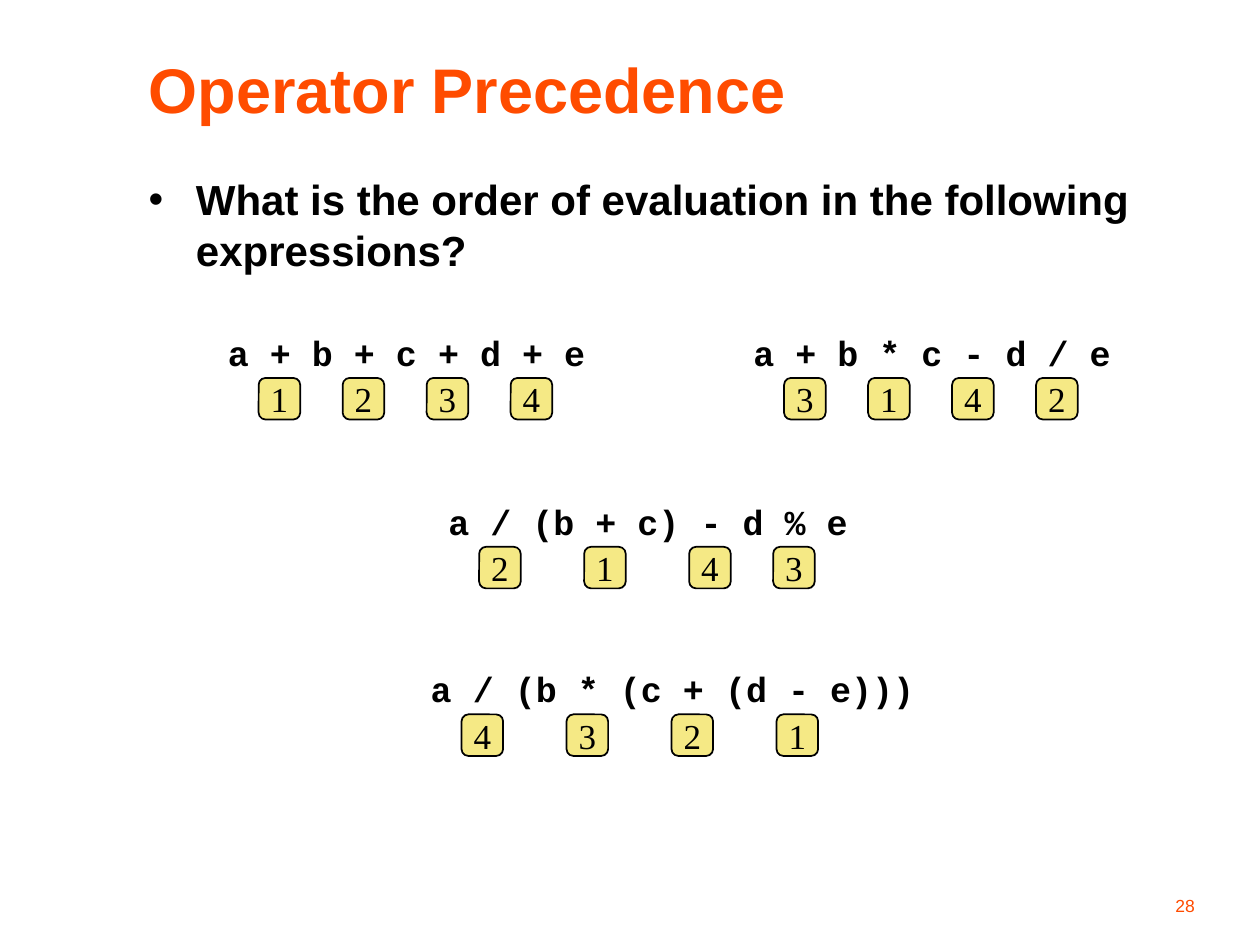
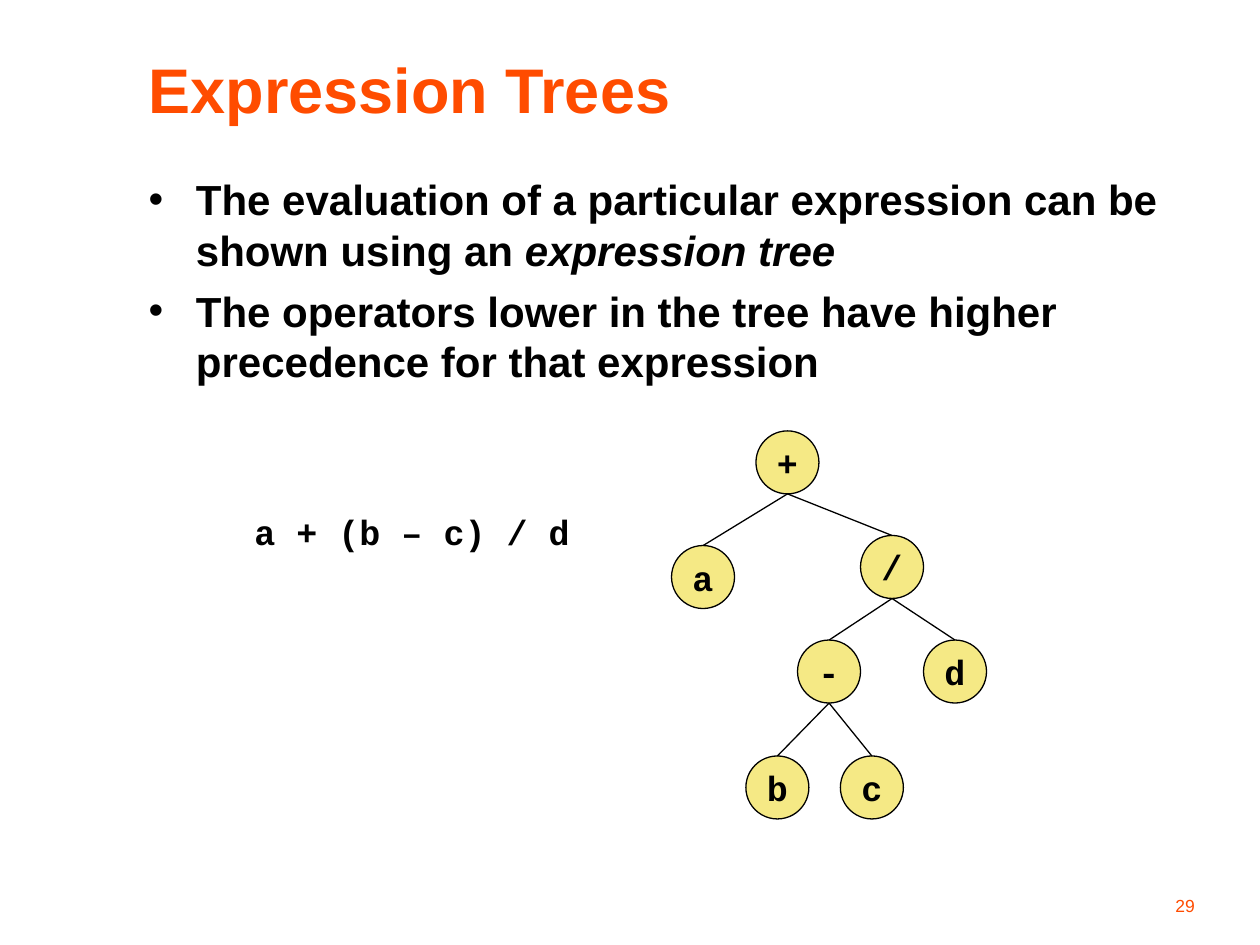
"""Build two slides on operator precedence and expression trees."""
from dataclasses import dataclass

from lxml.etree import SubElement
from pptx import Presentation
from pptx.dml.color import RGBColor
from pptx.enum.shapes import MSO_CONNECTOR, MSO_SHAPE
from pptx.enum.text import MSO_ANCHOR, MSO_AUTO_SIZE, PP_ALIGN
from pptx.oxml.ns import qn
from pptx.util import Inches, Pt

PRECEDENCE = {
    "title": "Operator Precedence",
    "bullets": [[("What is the order of evaluation in the following expressions?", False)]],
    "body_height": 1.04,
    "number": "28",
}
TREES = {
    "title": "Expression Trees",
    "bullets": [
        [("The evaluation of a particular expression can be shown using an ", False),
         ("expression tree", True)],
        [("The operators lower in the tree have higher precedence for that expression", False)],
    ],
    "body_height": 2,
    "number": "29",
}
RANKED_EXPRESSIONS = [
    ("a + b + c + d + e", "1234", 1.71, 2.58),
    ("a + b * c - d / e", "3142", 5.88, 2.58),
    ("a / (b + c) - d % e", "2143", 3.46, 3.92),
    ("a / (b * (c + (d - e)))", "4321", 3.32, 5.25),
]
TREE_EXPRESSION = ("a + (b – c) / d", 1.92, 4)
TREE_NODES = [
    ("+", None, 6, 3.42),
    ("a", "+", 5.33, 4.33),
    ("/", "+", 6.83, 4.25),
    ("-", "/", 6.33, 5.08),
    ("d", "/", 7.33, 5.08),
    ("b", "-", 5.92, 6),
    ("c", "-", 6.67, 6),
]
OPERATORS = "+-*/%"
CHARACTER_WIDTH = 1 / 6
CODE_MARGINS = 0.22
BADGE_SIZE = 0.33
BADGE_DROP = 0.42
NODE_SIZE = 0.5


@dataclass(frozen=True)
class Theme:
    """Colours and text formats that the slides share."""
    accent = RGBColor(0xFF, 0x4C, 0x00)
    ink = RGBColor(0, 0, 0)
    highlight = RGBColor(0xF5, 0xE9, 0x85)
    title = {"name": "Arial", "size": Pt(36), "bold": True, "color": accent}
    body = {"name": "Arial", "size": Pt(24), "bold": True, "color": ink}
    code = {"name": "Courier New", "size": Pt(20), "bold": True, "color": ink}
    badge = {"name": "Times New Roman", "size": Pt(20), "bold": False, "color": ink}
    number = {"name": "Arial", "size": Pt(10), "bold": False, "color": accent}


def set_values(target, values):
    """Set each named attribute on the target."""
    for name, value in values.items():
        setattr(target, name, value)


def add_run(paragraph, text, style, italic=False):
    """Add a formatted run to a paragraph."""
    run = paragraph.add_run()
    run.text = text
    set_values(run.font, {key: value for key, value in style.items() if key != "color"})
    run.font.italic = italic
    run.font.color.rgb = style["color"]


def place(shape, left, top, width, height):
    """Move and size a shape, in inches."""
    set_values(shape, {"left": Inches(left), "top": Inches(top),
                       "width": Inches(width), "height": Inches(height)})


def add_base_slide(presentation, content):
    """Add a slide with its title, bullets and number."""
    slide = presentation.slides.add_slide(presentation.slide_layouts[1])
    title, body = slide.placeholders
    place(title, 1.08, 0.33, 8.67, 0.75)
    place(body, 1.08, 1.33, 8.67, content["body_height"])
    for placeholder, anchor in ((title, MSO_ANCHOR.MIDDLE), (body, MSO_ANCHOR.TOP)):
        set_values(placeholder.text_frame,
                   {"auto_size": MSO_AUTO_SIZE.NONE, "vertical_anchor": anchor})
    heading = title.text_frame.paragraphs[0]
    heading.alignment = PP_ALIGN.LEFT
    add_run(heading, content["title"], Theme.title)
    for index, runs in enumerate(content["bullets"]):
        frame = body.text_frame
        paragraph = frame.add_paragraph() if index else frame.paragraphs[0]
        paragraph.space_before = Pt(6)
        for text, italic in runs:
            add_run(paragraph, text, Theme.body, italic)
    number = slide.shapes.add_textbox(Inches(7.5), Inches(6.9), Inches(2.08), Inches(0.42))
    set_values(number.text_frame, {"word_wrap": True, "vertical_anchor": MSO_ANCHOR.BOTTOM})
    paragraph = number.text_frame.paragraphs[0]
    paragraph.alignment = PP_ALIGN.RIGHT
    add_run(paragraph, content["number"], Theme.number)
    return slide


def add_expression(slide, text, left, top):
    """Add a line of code in a box slightly wider than its characters."""
    width = len(text) * CHARACTER_WIDTH + CODE_MARGINS
    box = slide.shapes.add_textbox(Inches(left), Inches(top), Inches(width), Inches(0.44))
    set_values(box.text_frame, {"word_wrap": False, "auto_size": MSO_AUTO_SIZE.NONE})
    add_run(box.text_frame.paragraphs[0], text, Theme.code)


def add_label(slide, kind, text, left, top, size, style, line_width):
    """Add a highlighted shape with one centred character."""
    shape = slide.shapes.add_shape(kind, Inches(left), Inches(top), Inches(size), Inches(size))
    shape.shadow.inherit = False
    shape.fill.solid()
    shape.fill.fore_color.rgb = Theme.highlight
    shape.line.color.rgb = Theme.ink
    shape.line.width = Pt(line_width)
    set_values(shape.text_frame, {"word_wrap": False, "vertical_anchor": MSO_ANCHOR.MIDDLE})
    paragraph = shape.text_frame.paragraphs[0]
    paragraph.alignment = PP_ALIGN.CENTER
    add_run(paragraph, text, style)
    return shape


def add_branch(slide, child, parent):
    """Join the top of a child node to the bottom of its parent."""
    branch = slide.shapes.add_connector(
        MSO_CONNECTOR.STRAIGHT, child.left + child.width // 2, child.top,
        parent.left + parent.width // 2, parent.top + parent.height)
    branch.begin_connect(child, 0)
    branch.line.color.rgb = Theme.ink
    branch.line.width = Pt(0.75)
    SubElement(branch._element.spPr, qn("a:effectLst"))


def add_ranked_expression(slide, text, ranks, left, top):
    """Add an expression with a rank badge under each operator."""
    add_expression(slide, text, left, top)
    columns = [column for column, character in enumerate(text) if character in OPERATORS]
    for column, rank in zip(columns, ranks):
        badge_left = left + column * CHARACTER_WIDTH + 0.01
        add_label(slide, MSO_SHAPE.ROUNDED_RECTANGLE, rank, badge_left, top + BADGE_DROP,
                  BADGE_SIZE, Theme.badge, 1)


def add_tree(slide):
    """Add the nodes of the expression tree and their branches."""
    nodes = {}
    for label, parent, left, top in TREE_NODES:
        nodes[label] = add_label(slide, MSO_SHAPE.OVAL, label, left, top,
                                 NODE_SIZE, Theme.code, 0.75)
        if parent:
            add_branch(slide, nodes[label], nodes[parent])


def main():
    """Build and save the presentation."""
    presentation = Presentation()
    set_values(presentation, {"slide_width": Inches(10), "slide_height": Inches(7.5)})
    precedence = add_base_slide(presentation, PRECEDENCE)
    for expression in RANKED_EXPRESSIONS:
        add_ranked_expression(precedence, *expression)
    trees = add_base_slide(presentation, TREES)
    add_expression(trees, *TREE_EXPRESSION)
    add_tree(trees)
    presentation.save("out.pptx")


if __name__ == "__main__":
    main()
